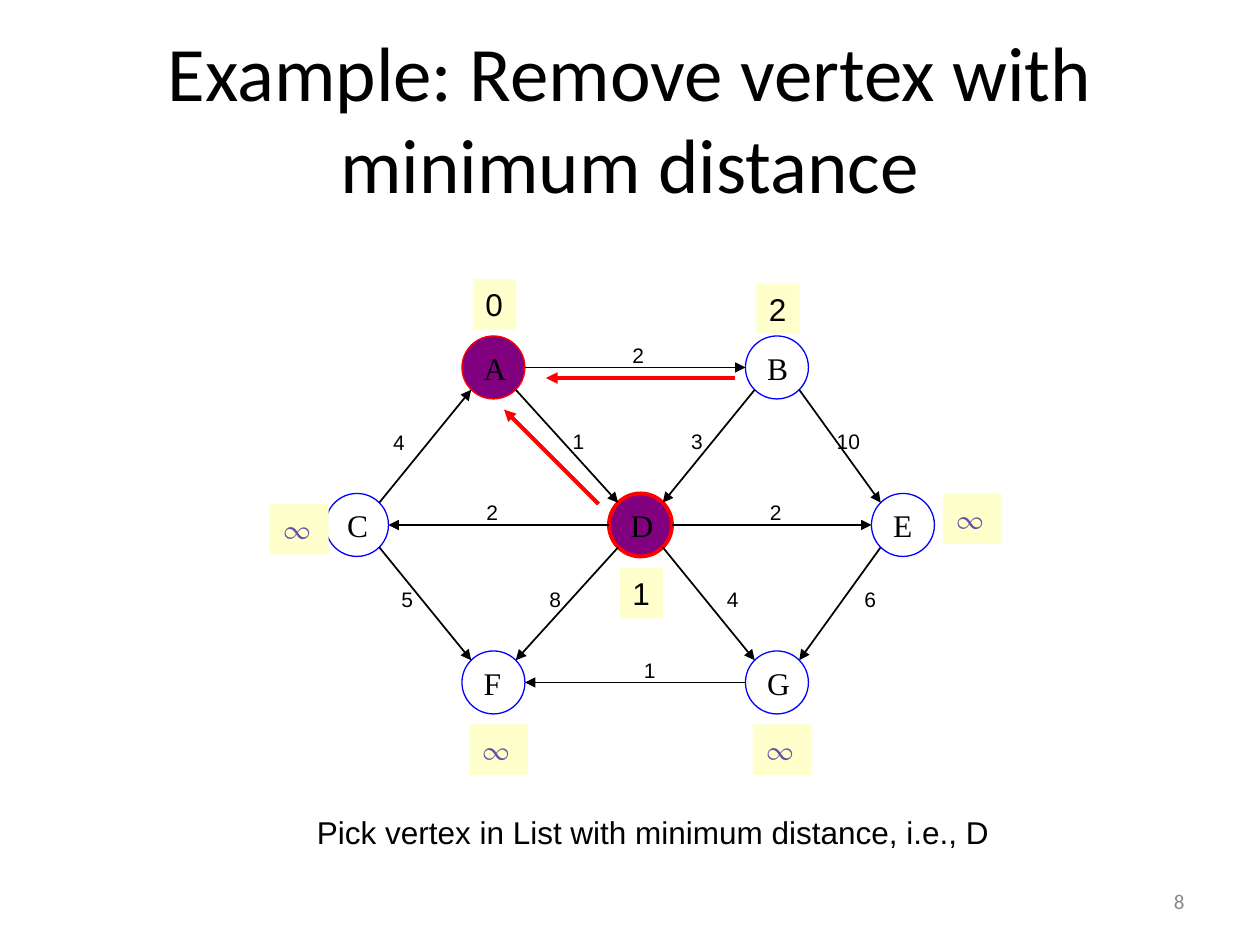
import math

import lxml.etree
import pptx
import pptx.dml.color
import pptx.enum.shapes
import pptx.enum.text
import pptx.oxml.ns
import pptx.util

PP_ALIGN = pptx.enum.text.PP_ALIGN
ANCHOR = pptx.enum.text.MSO_ANCHOR
SHAPE = pptx.enum.shapes.MSO_SHAPE


def colour(value):
    return pptx.dml.color.RGBColor.from_string(value)


def write(shape, text, size, font="Arial", ink="000000", align=PP_ALIGN.LEFT,
          anchor=ANCHOR.MIDDLE, wrap=False):
    frame = shape.text_frame
    frame.word_wrap = wrap
    frame.vertical_anchor = anchor
    paragraph = frame.paragraphs[0]
    paragraph.alignment = align
    run = paragraph.add_run()
    run.text = text
    run.font.size = pptx.util.Pt(size)
    run.font.name = font
    run.font.color.rgb = colour(ink)


presentation = pptx.Presentation()
presentation.slide_width = pptx.util.Inches(10)
presentation.slide_height = pptx.util.Inches(7.5)
slide = presentation.slides.add_slide(presentation.slide_layouts[5])
shapes = slide.shapes
unit = presentation.slide_width / 120

title = shapes.title
title.left, title.top = int(6 * unit), int(3.6 * unit)
title.width, title.height = int(108 * unit), int(15 * unit)
write(title, "Example: Remove vertex with minimum distance", 44, "Calibri",
      align=PP_ALIGN.CENTER, wrap=True)

page_number = shapes.add_textbox(int(86 * unit), int(83.4 * unit), int(28 * unit), int(4.8 * unit))
write(page_number, "8", 12, "Calibri", "898989", PP_ALIGN.RIGHT, wrap=True)

caption = shapes.add_textbox(int(29 * unit), int(76.8 * unit), int(66.4 * unit), int(4.8 * unit))
write(caption, "Pick vertex in List with minimum distance, i.e., D", 18, anchor=ANCHOR.TOP)

radius = 3
vertices = {
    "A": (47, 35), "B": (74, 35),
    "C": (34, 50), "D": (61, 50), "E": (86, 50),
    "F": (47, 65), "G": (74, 65),
}
removed = {"A": 0.75, "D": 2.25}
for name, (column, row) in vertices.items():
    vertex = shapes.add_shape(SHAPE.OVAL, int((column - radius) * unit), int((row - radius) * unit),
                              int(2 * radius * unit), int(2 * radius * unit))
    vertex.shadow.inherit = False
    if name in removed:
        vertex.fill.solid()
        vertex.fill.fore_color.rgb = colour("800080")
    else:
        vertex.fill.background()
    vertex.line.color.rgb = colour("FF0000" if name in removed else "0000FF")
    vertex.line.width = pptx.util.Pt(removed.get(name, 0.75))
    write(vertex, name, 18, "Times New Roman")

edges = [
    ("A", "B", "2", 60.8, 33.8), ("A", "D", "1", 55.1, 42), ("B", "D", "3", 66.4, 42),
    ("B", "E", "10", 80.8, 42), ("C", "A", "4", 38, 42.1), ("C", "F", "5", 38.8, 57.1),
    ("D", "C", "2", 46.9, 48.8), ("D", "E", "2", 73.9, 48.8), ("D", "F", "8", 52.9, 57.1),
    ("D", "G", "4", 69.8, 57.1), ("E", "G", "6", 82.9, 57.1), ("G", "F", "1", 61.9, 63.8),
]
arrows = []
for start, end, weight, column, row in edges:
    (x1, y1), (x2, y2) = vertices[start], vertices[end]
    reach = radius if y1 == y2 else radius * math.sqrt(0.5)
    dx = math.copysign(reach, x2 - x1)
    dy = 0 if y1 == y2 else math.copysign(reach, y2 - y1)
    arrows.append((x1 + dx, y1 + dy, x2 - dx, y2 - dy, "000000", 1))
    width = 3.5 if len(weight) == 1 else 4.6
    label = shapes.add_textbox(int((column - width / 2) * unit), int((row - 1.8) * unit),
                               int(width * unit), int(3.6 * unit))
    write(label, weight, 12)

distances = [
    ("0", 47.1, 26.6), ("2", 74.1, 27), ("∞", 28.5, 48), ("∞", 92.6, 47),
    ("1", 61.1, 54.1), ("∞", 47.5, 69), ("∞", 74.5, 69),
]
for distance, column, row in distances:
    infinite = distance == "∞"
    width = 5.6 if infinite else 4.1
    tag = shapes.add_shape(SHAPE.RECTANGLE, int((column - width / 2) * unit), int(row * unit),
                           int(width * unit), int(4.8 * unit))
    tag.shadow.inherit = False
    tag.fill.solid()
    tag.fill.fore_color.rgb = colour("FFFFCC")
    tag.line.fill.background()
    write(tag, distance, 18, "TeX Gyre Pagella" if infinite else "Arial",
          "674EA7" if infinite else "000000", anchor=ANCHOR.TOP, wrap=True)

arrows += [(57, 48, 48, 39, "FF0000", 2.25), (70, 36, 52, 36, "FF0000", 2.25)]
for x1, y1, x2, y2, ink, weight in arrows:
    arrow = shapes.add_connector(pptx.enum.shapes.MSO_CONNECTOR.STRAIGHT, int(x1 * unit),
                                 int(y1 * unit), int(x2 * unit), int(y2 * unit))
    arrow.line.color.rgb = colour(ink)
    arrow.line.width = pptx.util.Pt(weight)
    line = arrow.line._get_or_add_ln()
    lxml.etree.SubElement(line, pptx.oxml.ns.qn("a:tailEnd"), type="triangle")
    lxml.etree.SubElement(arrow._element.spPr, pptx.oxml.ns.qn("a:effectLst"))

presentation.save("out.pptx")
